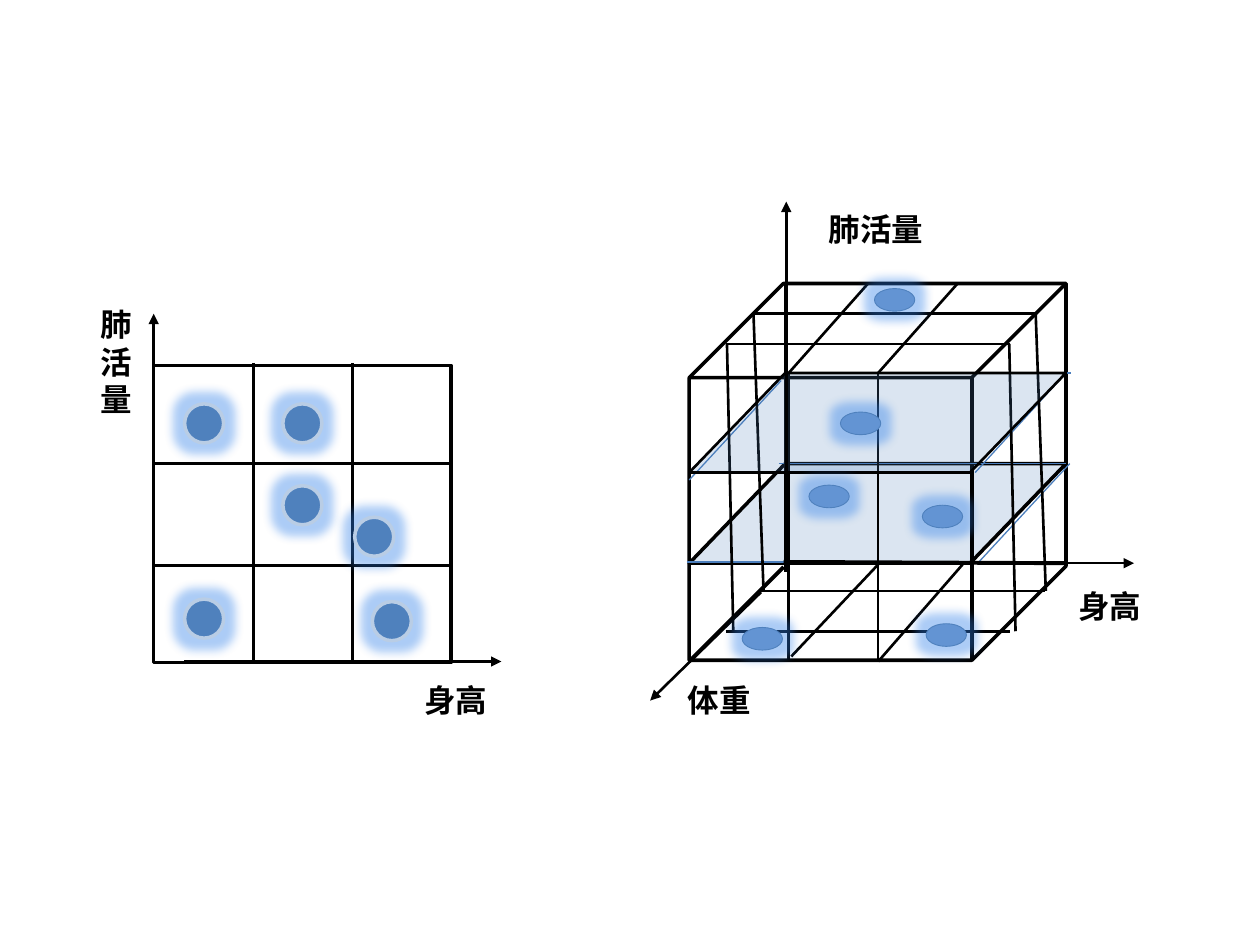
from lxml import etree
from pptx import Presentation
from pptx.dml.color import RGBColor
from pptx.enum.shapes import MSO_CONNECTOR, MSO_SHAPE
from pptx.enum.text import MSO_AUTO_SIZE
from pptx.oxml.ns import qn
from pptx.util import Inches, Pt

STRAIGHT = MSO_CONNECTOR.STRAIGHT
RECTANGLE, CUBE = MSO_SHAPE.RECTANGLE, MSO_SHAPE.CUBE
PARALLELOGRAM, OVAL = MSO_SHAPE.PARALLELOGRAM, MSO_SHAPE.OVAL
FIT_TEXT = MSO_AUTO_SIZE.SHAPE_TO_FIT_TEXT

COLORS = {
    "ink": "000000",
    "pane": "4F81BD",
    "edge": "4B7EBC",
    "dot": "4F81BD",
    "ring": "B9CDE5",
    "flat_dot": "6394D3",
    "glow": "2F80EA",
}


class Diagram:
    """Draws on one slide; lengths are columns and rows of a 10 x 7.5 grid."""

    COLUMNS = 10
    FONT, TEXT_SIZE = "Calibri", 18
    GLOW_RADIUS = 11

    def __init__(self, prs):
        self.slide = prs.slides.add_slide(prs.slide_layouts[6])
        self.cell = prs.slide_width / self.COLUMNS

    def units(self, *lengths):
        return [round(length * self.cell) for length in lengths]

    def color(self, name):
        return RGBColor.from_string(COLORS[name])

    def alpha(self, color_element, percent):
        etree.SubElement(color_element, qn("a:alpha"), val=str(percent * 1000))

    def shape(self, kind, box, fill=None, line="ink", width=2.0):
        shape = self.slide.shapes.add_shape(kind, *self.units(*box))
        shape.shadow.inherit = False
        if fill:
            shape.fill.solid()
            shape.fill.fore_color.rgb = self.color(fill)
        else:
            shape.fill.background()
        shape.line.color.rgb = self.color(line)
        shape.line.width = Pt(width)
        return shape

    def pane(self, box, width):
        pane = self.shape(PARALLELOGRAM, box, "pane", width=width)
        pane.adjustments[0] = 0.964
        fill = pane._element.spPr.find(qn("a:solidFill"))
        self.alpha(fill[0], 20)

    def dot(self, center, size, fill, line, width):
        (x, y), (w, h) = center, size
        dot = self.shape(OVAL, (x - w / 2, y - h / 2, w, h), fill, line, width)
        effects = dot._element.spPr.find(qn("a:effectLst"))
        glow = etree.SubElement(effects, qn("a:glow"), rad=str(Pt(self.GLOW_RADIUS)))
        tint = etree.SubElement(glow, qn("a:srgbClr"), val=COLORS["glow"])
        self.alpha(tint, 40)

    def line(self, x1, y1, x2, y2, color="ink", width=1.5, arrow=False):
        ends = self.units(x1, y1, x2, y2)
        line = self.slide.shapes.add_connector(STRAIGHT, *ends)
        line.line.color.rgb = self.color(color)
        line.line.width = Pt(width)
        properties = line._element.spPr
        if arrow:
            etree.SubElement(properties.find(qn("a:ln")), qn("a:headEnd"), type="triangle")
        etree.SubElement(properties, qn("a:effectLst"))

    def label(self, text, box):
        frame = self.slide.shapes.add_textbox(*self.units(*box)).text_frame
        frame.word_wrap = True
        frame.auto_size = FIT_TEXT
        frame.text = text
        font = frame.paragraphs[0].runs[0].font
        font.name, font.size, font.bold = self.FONT, Pt(self.TEXT_SIZE), True
        font.color.rgb = self.color("ink")


def draw_cube(diagram):
    left, top, side = 5.47, 2.25, 2.99
    bottom, right = 5.25, left + side
    pane_tops, pane_height = (3.68, 2.96), 0.79

    # Lower pane and cube
    diagram.pane((left, pane_tops[0], side, pane_height), 2)
    diagram.shape(CUBE, (left, top, side, side))

    # Blue pane edges
    for x1, y1, x2, y2 in (
        (5.45, 4.46, 7.74, 4.46), (7.74, 3.75, right, 2.96),
        (7.76, 4.47, 8.49, 3.68), (left, 3.81, 6.2, 3.02),
        (6.22, 2.96, 8.5, 2.96), (6.18, 3.68, right, 3.68),
    ):
        diagram.line(x1, y1, x2, y2, "edge", 0.75)

    # Hidden back edges
    diagram.line(6.24, top, 6.24, 4.54, width=2.25)
    diagram.line(6.22, 4.46, right, 4.47, width=2.25)
    diagram.line(left, bottom, 6.22, 4.5, width=2.25)

    # Column dividers on the top, front and bottom faces
    for x, bottom_start in ((6.26, (6.28, 5.21)), (6.97, (6.97, 5.25))):
        diagram.line(x, 2.96, x + 0.63, top)
        diagram.line(x, 2.96, x, bottom)
        diagram.line(*bottom_start, x + 0.67 if x > 6.5 else 6.97, 4.48)

    # Depth dividers: top, bottom, then the two sides
    depth_width = 2.26
    for top_x, top_y, bottom_x, bottom_y, lean in (
        (5.97, 2.49, 6.03, 4.69, 0.08), (5.76, 2.73, 5.76, 5.01, 0.05),
    ):
        diagram.line(top_x, top_y, top_x + depth_width, top_y)
        diagram.line(bottom_x, bottom_y, bottom_x + depth_width, bottom_y)
        for x in (top_x, top_x + depth_width - 0.02):
            diagram.line(x + 0.01, top_y, x + 0.01 + lean, bottom_y)

    # Upper pane
    diagram.pane((left, pane_tops[1], side, pane_height), 1.5)


def draw_square(diagram):
    left, top, side = 1.22, 2.9, 2.36
    diagram.shape(RECTANGLE, (left, top, side, side))
    for y in (3.68, 4.49):
        diagram.line(left, y, left + side, y)
    for x in (2.01, 2.8):
        diagram.line(x, 2.88, x, 5.25)


def main():
    prs = Presentation()
    prs.slide_width, prs.slide_height = Inches(10), Inches(7.5)
    diagram = Diagram(prs)

    draw_cube(diagram)
    draw_square(diagram)

    # Axes, each from its arrowhead
    for axis in (
        (1.22, 2.49, 1.22, 5.21), (3.98, 5.25, 1.46, 5.25),
        (6.24, 1.6, 6.24, 4.32), (5.16, 5.56, 6.04, 4.7), (9, 4.47, 6.48, 4.47),
    ):
        diagram.line(*axis, arrow=True)

    # Axis names
    diagram.label("肺活量", (0.7, 2.37, 0.41, 1.01))
    for name, x, y in (
        ("身高", 3.27, 5.36), ("身高", 8.46, 4.61),
        ("体重", 5.36, 5.36), ("肺活量", 6.48, 1.62),
    ):
        diagram.label(name, (x, y, 1.42, 0.4))

    # Samples in the plane
    for center in (
        (1.62, 4.91), (2.4, 4.01), (1.62, 3.36),
        (2.4, 3.36), (3.11, 4.93), (2.97, 4.26),
    ):
        diagram.dot(center, (0.31, 0.31), "dot", "ring", 2)

    # Samples in space, seen flattened
    for center in (
        (6.58, 3.94), (6.05, 5.07), (7.1, 2.38),
        (6.83, 3.36), (7.51, 5.04), (7.48, 4.1),
    ):
        diagram.dot(center, (0.32, 0.18), "flat_dot", "dot", 0.5)

    prs.save("out.pptx")


if __name__ == "__main__":
    main()
